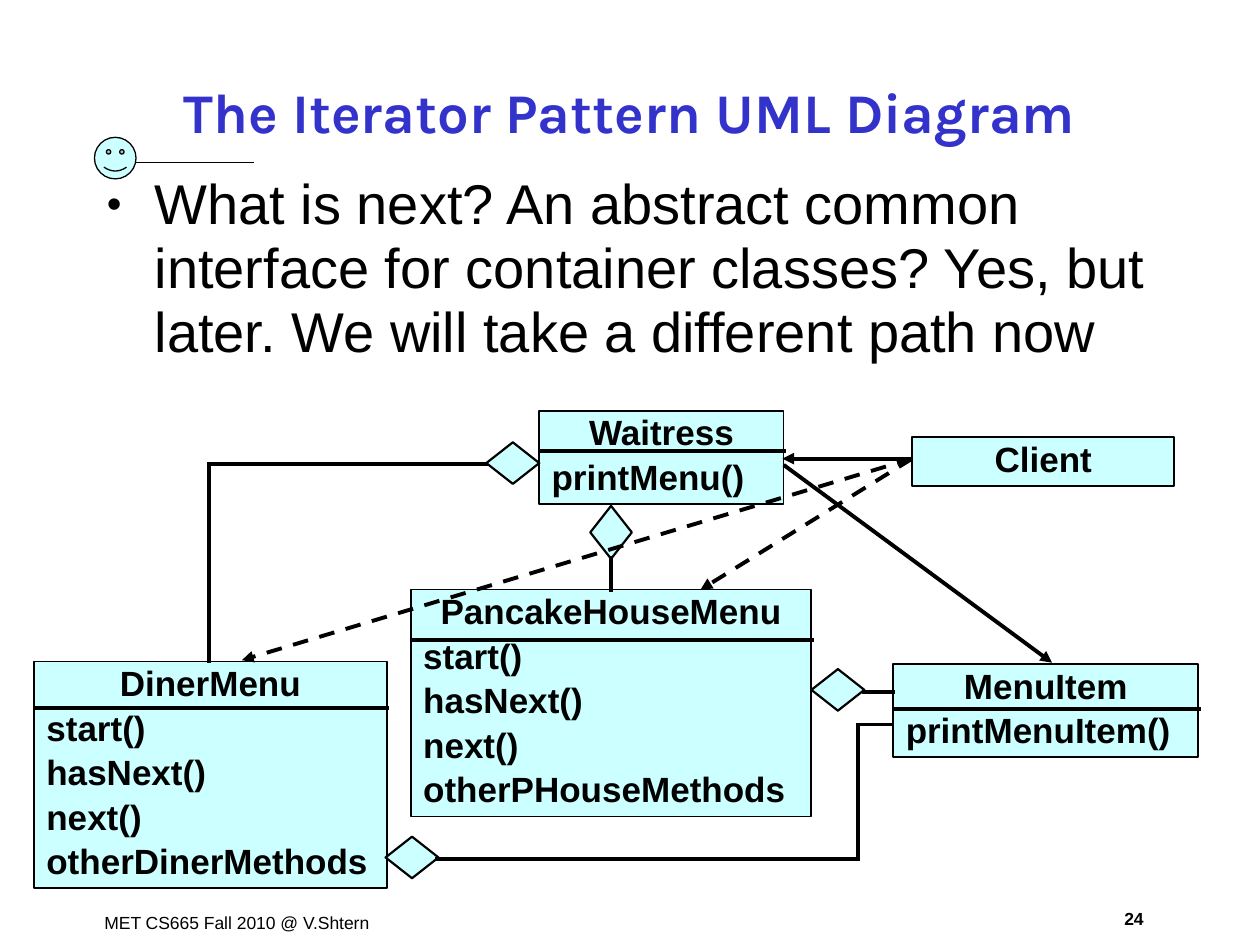
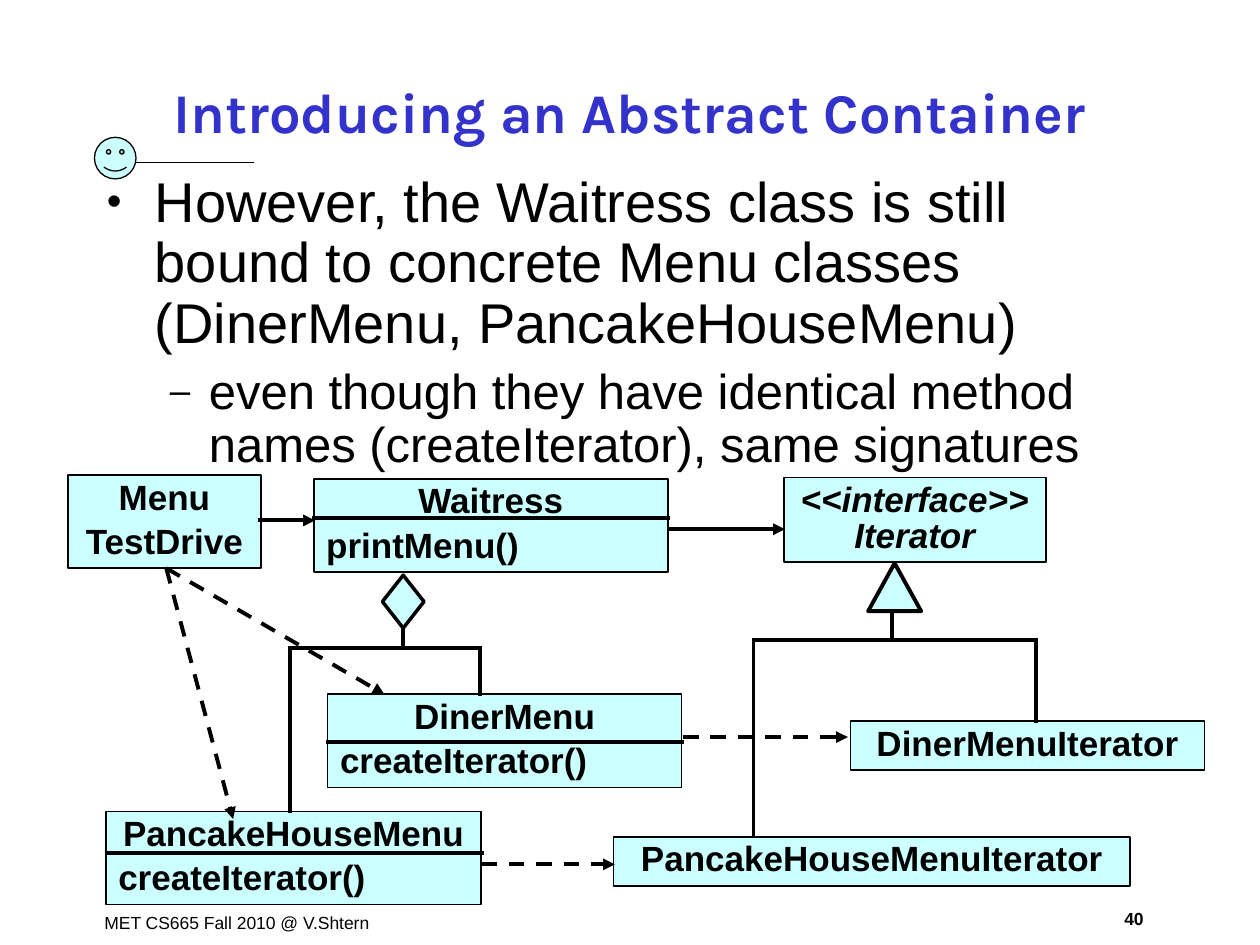
from dataclasses import dataclass

import lxml.etree
import pptx
import pptx.dml.color
import pptx.enum.dml
import pptx.enum.shapes
import pptx.enum.text
import pptx.oxml.ns
import pptx.util

EMU_PER_PX = 9144  # 100 px to the inch

SHAPES = pptx.enum.shapes.MSO_SHAPE
ALIGN = pptx.enum.text.PP_ALIGN
ANCHOR = pptx.enum.text.MSO_ANCHOR


@dataclass(frozen=True)
class Theme:
    ink: str = "000000"
    title_ink: str = "3333CC"
    box_fill: str = "CCFFFF"
    title_font: str = "Karla"
    text_font: str = "Arial"
    heading_size: int = 32
    sub_size: int = 28
    class_size: int = 20
    footer_size: int = 10
    box_line: float = 1
    link_line: float = 2.25


THEME = Theme()
FOOTER = "MET CS665 Fall 2010 @ V.Shtern"


def px(length):
    return pptx.util.Emu(length * EMU_PER_PX)


def rgb(value):
    return pptx.dml.color.RGBColor.from_string(value)


def qn(tag):
    return pptx.oxml.ns.qn(tag)


def set_font(paragraph, size, name=THEME.text_font, color=THEME.ink, bold=False, italic=False):
    font = paragraph.font
    font.size = pptx.util.Pt(size)
    font.name = name
    font.color.rgb = rgb(color)
    font.bold = bold
    font.italic = italic


def add_text(slide, box, anchor=ANCHOR.TOP):
    frame = slide.shapes.add_textbox(*map(px, box)).text_frame
    frame.word_wrap = True
    frame.vertical_anchor = anchor
    return frame


def add_label(slide, box, text, size, align=ALIGN.LEFT, anchor=ANCHOR.TOP, **font):
    paragraph = add_text(slide, box, anchor).paragraphs[0]
    paragraph.text = text
    paragraph.alignment = align
    set_font(paragraph, size, **font)


def add_bullet(paragraph, text, mark, size, margin, hang, spacing):
    paragraph.text = text
    paragraph.line_spacing = spacing
    properties = paragraph._p.get_or_add_pPr()
    properties.set("marL", str(px(margin)))
    properties.set("indent", str(px(-hang)))
    color = lxml.etree.SubElement(properties, qn("a:buClr"))
    lxml.etree.SubElement(color, qn("a:srgbClr"), val=THEME.ink)
    lxml.etree.SubElement(properties, qn("a:buSzPct"), val="75000")
    lxml.etree.SubElement(properties, qn("a:buFont"), typeface=THEME.text_font)
    lxml.etree.SubElement(properties, qn("a:buChar"), char=mark)
    set_font(paragraph, size)


def add_body(slide, heading, spacing, detail=None):
    frame = add_text(slide, (75, 133, 850, 576))
    add_bullet(frame.paragraphs[0], heading, "•", THEME.heading_size, 38, 38, spacing)
    if detail:
        paragraph = frame.add_paragraph()
        paragraph.level = 1
        paragraph.space_before = pptx.util.Pt(7)
        add_bullet(paragraph, detail, "–", THEME.sub_size, 81, 31, spacing)


def add_outlined(slide, kind, box, weight=THEME.box_line, rotation=0):
    shape = slide.shapes.add_shape(kind, *map(px, box))
    shape.shadow.inherit = False
    shape.rotation = rotation
    shape.fill.solid()
    shape.fill.fore_color.rgb = rgb(THEME.box_fill)
    shape.line.color.rgb = rgb(THEME.ink)
    shape.line.width = pptx.util.Pt(weight)
    return shape


def add_diamond(slide, left, top, rotation=180, weight=1.25):
    add_outlined(slide, SHAPES.FLOWCHART_DECISION, (left, top, 42, 33), weight, rotation)


def add_link(slide, start, end, arrow=False, dashed=False, weight=THEME.link_line):
    connector = slide.shapes.add_connector(
        pptx.enum.shapes.MSO_CONNECTOR.STRAIGHT, *map(px, start + end))
    connector.line.color.rgb = rgb(THEME.ink)
    connector.line.width = pptx.util.Pt(weight)
    if dashed:
        connector.line.dash_style = pptx.enum.dml.MSO_LINE.DASH
    properties = connector.element.spPr
    if arrow:
        lxml.etree.SubElement(properties.find(qn("a:ln")), qn("a:tailEnd"), type="triangle")
    lxml.etree.SubElement(properties, qn("a:effectLst"))
    return connector


def add_route(slide, *points):
    """Join the points with straight lines whose square ends close the corners."""
    for start, end in zip(points, points[1:]):
        connector = add_link(slide, start, end)
        connector.element.spPr.find(qn("a:ln")).set("cap", "sq")


def add_arrow(slide, start, end, dashed=False):
    add_link(slide, start, end, arrow=True, dashed=dashed)


def add_box(slide, box, titles, methods=(), gap=0, italic=False):
    """Draw a box with centred titles above left-aligned methods."""
    frame = add_outlined(slide, SHAPES.RECTANGLE, box).text_frame
    frame.word_wrap = True
    frame.vertical_anchor = ANCHOR.MIDDLE
    for index, text in enumerate((*titles, *methods)):
        is_title = index < len(titles)
        paragraph = frame.add_paragraph() if index else frame.paragraphs[0]
        paragraph.text = text
        paragraph.alignment = ALIGN.CENTER if is_title else ALIGN.LEFT
        paragraph.line_spacing = 0.85
        if index:
            paragraph.space_before = pptx.util.Pt(gap if is_title else 5)
        set_font(paragraph, THEME.class_size, bold=True, italic=italic)


def add_class(slide, box, divider, name, *methods):
    add_box(slide, box, [name], methods)
    left, _, width, _ = box
    add_link(slide, (left - 1, divider), (left + width + 2, divider))


def add_slide(presentation, title, number):
    slide = presentation.slides.add_slide(presentation.slide_layouts[6])
    add_label(slide, (73, 719, 241, 27), FOOTER, THEME.footer_size)
    add_label(slide, (873, 716, 54, 27), number, THEME.footer_size, ALIGN.CENTER, bold=True)
    add_outlined(slide, SHAPES.SMILEY_FACE, (75, 109, 33, 33), 0.75)
    add_link(slide, (108, 129), (202, 129), weight=1)
    add_label(slide, (75, 48, 850, 80), title, THEME.heading_size, ALIGN.CENTER, ANCHOR.MIDDLE,
              name=THEME.title_font, color=THEME.title_ink, bold=True)
    return slide


def add_iterator_slide(presentation):
    slide = add_slide(presentation, "The Iterator Pattern UML Diagram", "24")
    add_body(slide, "What is next? An abstract common interface for container classes? "
             "Yes, but later. We will take a different path now", 0.95)

    iteration = ("start()", "hasNext()", "next()")
    add_class(slide, (428, 326, 194, 74), 358, "Waitress", "printMenu()")
    add_class(slide, (27, 525, 280, 180), 562, "DinerMenu", *iteration, "otherDinerMethods")
    add_class(slide, (709, 527, 242, 74), 563, "MenuItem", "printMenuItem()")
    add_class(slide, (326, 468, 318, 180), 508, "PancakeHouseMenu", *iteration,
              "otherPHouseMethods")
    add_box(slide, (724, 347, 208, 39), ["Client"])

    add_diamond(slide, 464, 406, rotation=270)
    for left, top in ((386, 351), (306, 664), (644, 531)):
        add_diamond(slide, left, top)

    add_route(slide, (686, 549), (709, 549))
    add_route(slide, (485, 443), (485, 468))
    add_route(slide, (166, 525), (166, 368), (386, 368))
    add_route(slide, (347, 682), (681, 682), (681, 575), (708, 575))

    client = (724, 364)
    add_arrow(slide, client, (621, 364))
    for menu in ((556, 468), (192, 524)):
        add_arrow(slide, client, menu, dashed=True)
    add_arrow(slide, (622, 369), (835, 526))


def add_container_slide(presentation):
    slide = add_slide(presentation, "Introducing an Abstract Container", "40")
    add_body(slide, "However, the Waitress class is still bound to concrete Menu classes "
             "(DinerMenu, PancakeHouseMenu)", 0.9,
             "even though they have identical method names (createIterator), same signatures")

    add_box(slide, (622, 379, 208, 67), ["<<interface>>", "Iterator"], italic=True)
    add_box(slide, (675, 572, 281, 39), ["DinerMenuIterator"])
    add_box(slide, (487, 664, 410, 39), ["PancakeHouseMenuIterator"])
    add_box(slide, (54, 377, 153, 74), ["Menu", "TestDrive"], gap=5)
    add_class(slide, (249, 380, 281, 74), 411, "Waitress", "printMenu()")
    add_class(slide, (260, 551, 281, 74), 589, "DinerMenu", "createIterator()")
    add_class(slide, (84, 644, 298, 74), 677, "PancakeHouseMenu", "createIterator()")

    add_outlined(slide, SHAPES.ISOSCELES_TRIANGLE, (689, 447, 42, 38), THEME.link_line)
    add_diamond(slide, 299, 461, rotation=90, weight=2)

    add_route(slide, (708, 485), (708, 508))
    add_route(slide, (598, 663), (598, 508), (822, 508), (822, 572))
    add_route(slide, (320, 499), (320, 514))
    add_route(slide, (230, 644), (230, 514), (381, 514), (381, 551))

    add_arrow(slide, (205, 413), (250, 413))
    add_arrow(slide, (530, 420), (623, 420))
    for start, end in (((132, 451), (305, 551)), ((132, 451), (185, 650)),
                       ((542, 585), (673, 585)), ((382, 686), (488, 686))):
        add_arrow(slide, start, end, dashed=True)


def main():
    presentation = pptx.Presentation()
    presentation.slide_width = px(1000)
    presentation.slide_height = px(750)
    add_iterator_slide(presentation)
    add_container_slide(presentation)
    presentation.save("out.pptx")


if __name__ == "__main__":
    main()
